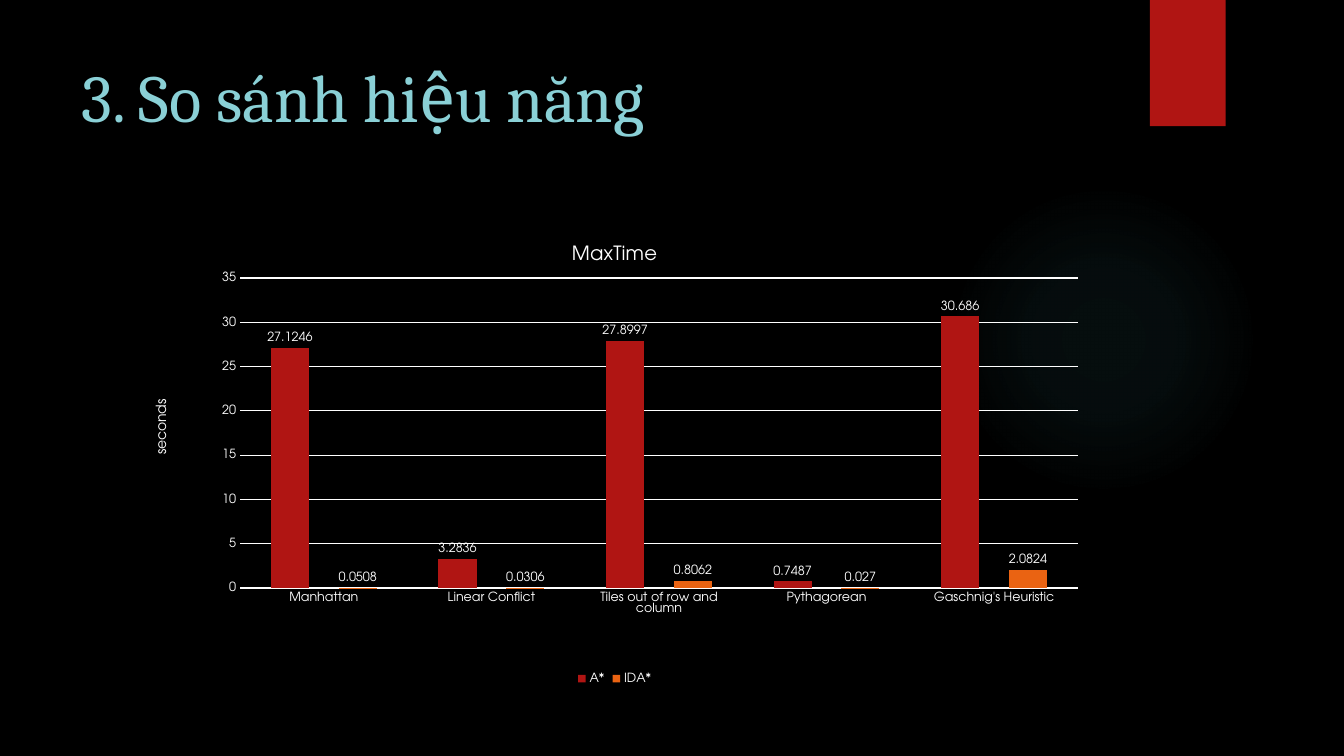
from dataclasses import dataclass

from pptx import Presentation
from pptx import util as u
from pptx.chart.data import CategoryChartData
from pptx.dml.color import RGBColor
from pptx.enum import chart as charts, shapes, text
from pptx.oxml import parse_xml
from pptx.oxml.ns import nsdecls, qn

COLORS = {
    "background": "000000",
    "red": "B01513",
    "orange": "EA6312",
    "glow": "50B9C1",
    "title": "8AD0D6",
    "white": "FFFFFF",
}
TITLE_FONT = "Cambria"
CHART_FONT = "TeX Gyre Adventor"
CATEGORIES = [
    "Manhattan",
    "Linear Conflict",
    "Tiles out of row and column",
    "Pythagorean",
    "Gaschnig's Heuristic",
]


@dataclass(frozen=True)
class Box:
    left: float
    top: float
    width: float
    height: float

    def lengths(self) -> list[u.Cm]:
        return [u.Cm(n) for n in (self.left, self.top, self.width, self.height)]


@dataclass(frozen=True)
class Algorithm:
    name: str
    seconds: list[float]
    color: str


ALGORITHMS = [
    Algorithm("A*", [27.1246, 3.2836, 27.8997, 0.7487, 30.686], "red"),
    Algorithm("IDA*", [0.0508, 0.0306, 0.8062, 0.027, 2.0824], "orange"),
]


def rgb(name: str) -> RGBColor:
    return RGBColor.from_string(COLORS[name])


def style_font(font, size: float, name: str = CHART_FONT, color: str = "white") -> None:
    font.size = u.Pt(size)
    font.name = name
    font.bold = False
    font.color.rgb = rgb(color)


def add_plain_shape(slide, kind, box: Box, color: str):
    shape = slide.shapes.add_shape(kind, *box.lengths())
    shape.shadow.inherit = False
    shape.fill.solid()
    shape.fill.fore_color.rgb = rgb(color)
    shape.line.fill.background()
    return shape


def add_glow(slide, box: Box) -> None:
    """Draw a faint circle that fades out from its centre."""
    shape = add_plain_shape(slide, shapes.MSO_SHAPE.OVAL, box, "glow")
    stops = "".join(
        f'<a:gs pos="{position * 1000}"><a:srgbClr val="{COLORS["glow"]}">'
        f'<a:alpha val="{alpha * 1000}"/></a:srgbClr></a:gs>'
        for position, alpha in [(0, 7), (36, 6), (69, 0)]
    )
    gradient = parse_xml(
        f'<a:gradFill {nsdecls("a")}><a:gsLst>{stops}</a:gsLst><a:path path="circle">'
        '<a:fillToRect l="50000" t="50000" r="50000" b="50000"/></a:path></a:gradFill>'
    )
    properties = shape._element.spPr
    properties.replace(properties.find(qn("a:solidFill")), gradient)


def add_title(slide, box: Box, title: str) -> None:
    frame = slide.shapes.add_textbox(*box.lengths()).text_frame
    frame.word_wrap = True
    frame.vertical_anchor = text.MSO_ANCHOR.TOP
    frame.text = title
    style_font(frame.paragraphs[0].runs[0].font, 48, TITLE_FONT, "title")


def set_chart_text(frame, wording: str, size: float) -> None:
    frame.text = wording
    style_font(frame.paragraphs[0].runs[0].font, size)


def set_layout(parent, index: int, **values: float) -> None:
    """Fix a chart part's place, as fractions of the chart."""
    for old in parent.findall(qn("c:layout")):
        parent.remove(old)
    target = '<c:layoutTarget val="inner"/>' if "w" in values else ""
    modes = '<c:xMode val="edge"/><c:yMode val="edge"/>'
    sizes = "".join(f'<c:{key} val="{value}"/>' for key, value in values.items())
    parent.insert(index, parse_xml(
        f'<c:layout {nsdecls("c")}><c:manualLayout>{target}{modes}{sizes}'
        "</c:manualLayout></c:layout>"
    ))


def style_axes(chart) -> None:
    for axis in (chart.category_axis, chart.value_axis):
        axis.major_tick_mark = charts.XL_TICK_MARK.NONE
        axis.minor_tick_mark = charts.XL_TICK_MARK.NONE
        style_font(axis.tick_labels.font, 9)
    category_axis, value_axis = chart.category_axis, chart.value_axis
    value_axis.minimum_scale, value_axis.maximum_scale = 0, 35
    value_axis.major_unit = 5
    value_axis.has_major_gridlines = True
    value_axis.format.line.fill.background()
    for line in (category_axis.format.line, value_axis.major_gridlines.format.line):
        line.color.rgb = rgb("white")
        line.width = u.Pt(0.75)
    set_chart_text(value_axis.axis_title.text_frame, "seconds", 10)
    set_layout(value_axis.axis_title._element, 1, x=0.03, y=0.37)


def add_time_chart(slide, box: Box) -> None:
    data = CategoryChartData()
    data.categories = CATEGORIES
    for algorithm in ALGORITHMS:
        data.add_series(algorithm.name, algorithm.seconds)
    chart = slide.shapes.add_chart(
        charts.XL_CHART_TYPE.COLUMN_CLUSTERED, *box.lengths(), data
    ).chart
    style_font(chart.font, 10)
    chart.has_title = True
    set_chart_text(chart.chart_title.text_frame, "MaxTime", 14)
    chart.chart_title.include_in_layout = False
    chart.has_legend = True
    chart.legend.position = charts.XL_LEGEND_POSITION.BOTTOM
    chart.legend.include_in_layout = False
    style_font(chart.legend.font, 9)
    style_axes(chart)

    plot = chart.plots[0]
    plot.gap_width, plot.overlap = 162, -78
    plot.vary_by_categories = False
    set_layout(plot._element.getparent(), 0, x=0.12, y=0.113, w=0.85, h=0.67)
    for series, algorithm in zip(plot.series, ALGORITHMS):
        series.format.fill.solid()
        series.format.fill.fore_color.rgb = rgb(algorithm.color)
        series.invert_if_negative = False
        labels = series.data_labels
        labels.show_value = True
        labels.position = charts.XL_LABEL_POSITION.OUTSIDE_END
        style_font(labels.font, 9)


def main() -> None:
    presentation = Presentation()
    presentation.slide_width, presentation.slide_height = u.Cm(33.87), u.Cm(19.05)
    slide = presentation.slides.add_slide(presentation.slide_layouts[6])
    slide.background.fill.solid()
    slide.background.fill.fore_color.rgb = rgb("background")

    add_glow(slide, Box(23.9, 4.65, 7.82, 7.82))
    add_plain_shape(slide, shapes.MSO_SHAPE.RECTANGLE, Box(28.98, 0, 1.91, 3.18), "red")
    add_title(slide, Box(1.8, 1.27, 26.14, 3.89), "3. So sánh hiệu năng")
    add_time_chart(slide, Box(3.07, 5.69, 24.84, 11.66))
    presentation.save("out.pptx")


if __name__ == "__main__":
    main()
